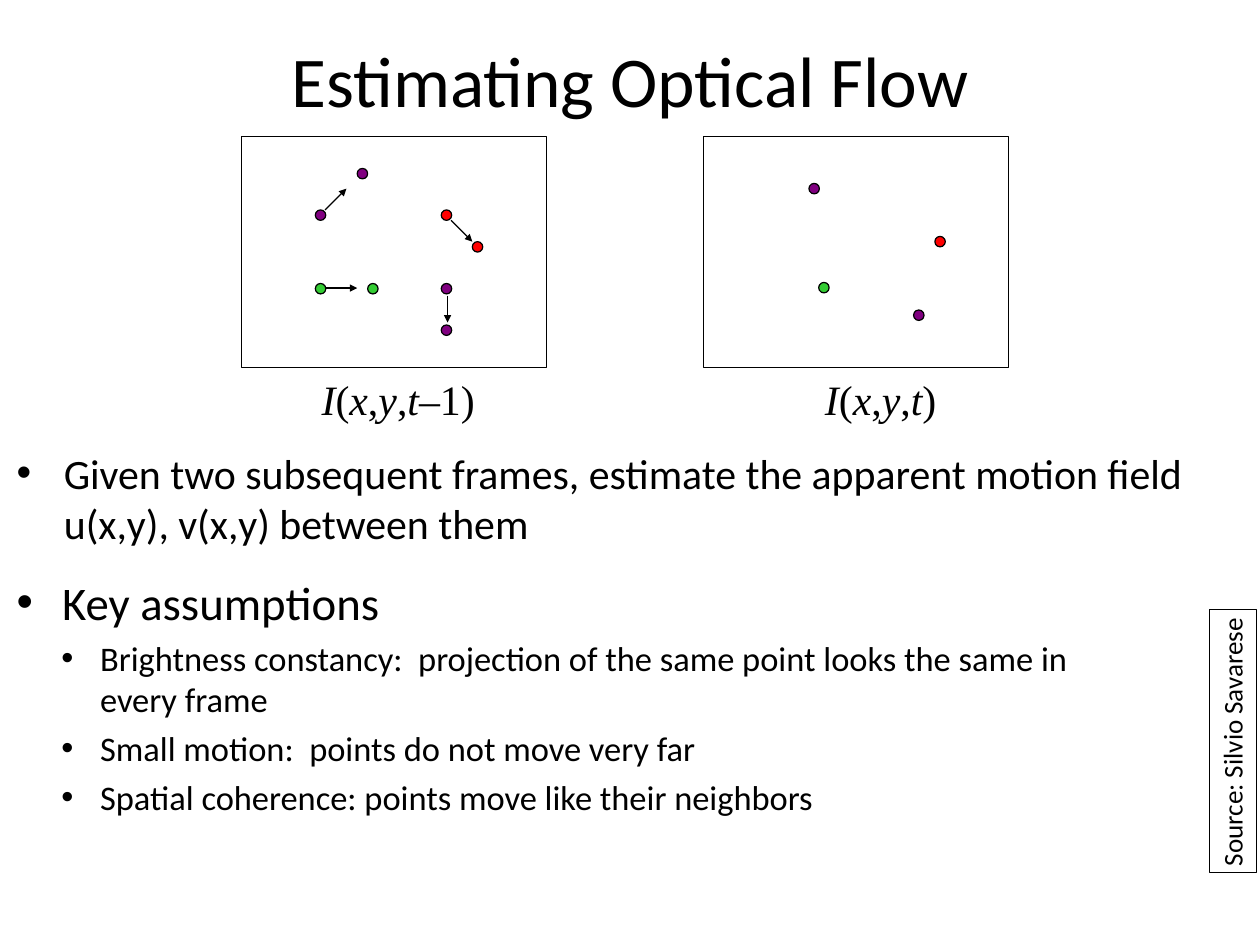
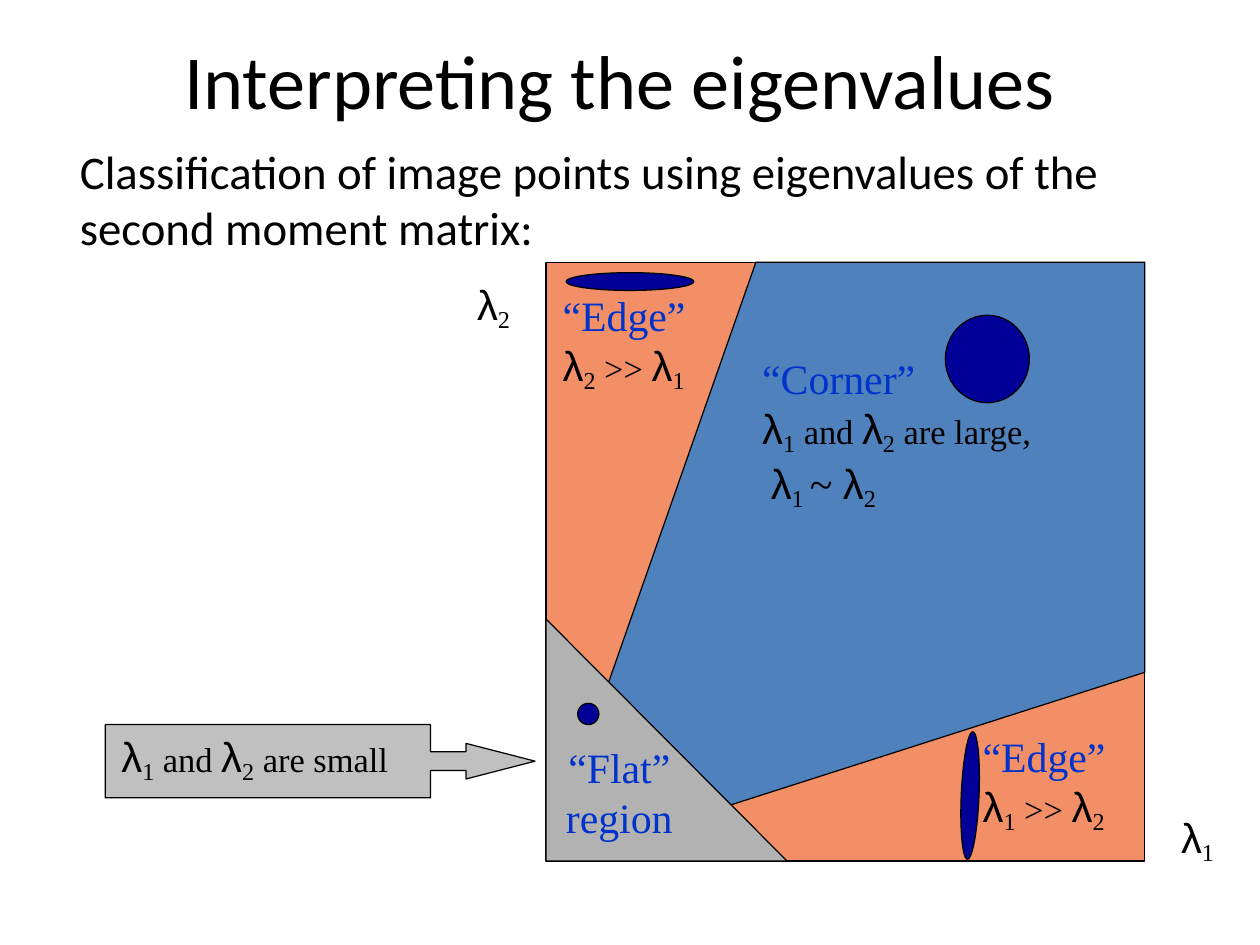
import itertools
from dataclasses import dataclass
from typing import Optional

import lxml.etree
import pptx
import pptx.dml.color
import pptx.enum.shapes
import pptx.enum.text
import pptx.oxml.ns
import pptx.util

Cm = pptx.util.Cm
Pt = pptx.util.Pt
SHAPE = pptx.enum.shapes.MSO_SHAPE
ALIGN = pptx.enum.text.PP_ALIGN

COLORS = {
    "black": "000000",
    "white": "FFFFFF",
    "purple": "800080",
    "red": "FF0000",
    "green": "33CC33",
    "orange": "F38F67",
    "blue": "4F81BD",
    "gray": "B2B2B2",
    "silver": "C0C0C0",
    "navy": "000099",
    "heading": "0033CC",
}
SANS, SERIF, GREEK = "Calibri", "Times New Roman", "Arial"
INSET = 0.18
DOT = 0.3


@dataclass
class Box:
    left: float
    top: float
    width: float
    height: float

    def lengths(self) -> tuple:
        return Cm(self.left), Cm(self.top), Cm(self.width), Cm(self.height)


@dataclass
class Span:
    text: str
    size: int = 34
    font: str = SERIF
    color: str = "black"
    italic: Optional[bool] = None
    lowered: bool = False


@dataclass
class Bullet:
    text: str
    size: int
    margin: float
    hanging: float
    level: int = 0
    before: int = 0


@dataclass
class Motion:
    color: str
    start: tuple
    end: tuple
    arrow: tuple
    later: tuple


@dataclass
class Label:
    box: Box
    lines: list
    align: ALIGN = ALIGN.LEFT
    wrap: bool = True


def rgb(name: str) -> pptx.dml.color.RGBColor:
    return pptx.dml.color.RGBColor.from_string(COLORS[name])


def style_font(font, span: Span) -> None:
    font.size = Pt(span.size)
    font.name = span.font
    font.color.rgb = rgb(span.color)
    font.italic = span.italic


def outline(shape) -> None:
    shape.line.color.rgb = rgb("black")
    shape.line.width = Pt(1)


def paint(shape, color: str) -> None:
    shape.shadow.inherit = False
    shape.fill.solid()
    shape.fill.fore_color.rgb = rgb(color)
    outline(shape)


def prepare_frame(frame, wrap: bool = True) -> None:
    frame.word_wrap = wrap
    frame.auto_size = pptx.enum.text.MSO_AUTO_SIZE.NONE
    frame.margin_left = frame.margin_right = Cm(INSET)
    frame.margin_top = frame.margin_bottom = Cm(INSET)


def place(shape, box: Box) -> None:
    shape.left, shape.top, shape.width, shape.height = box.lengths()
    prepare_frame(shape.text_frame)


def write_spans(para, spans: list) -> None:
    for span in spans:
        run = para.add_run()
        run.text = span.text
        style_font(para.font if len(spans) == 1 else run.font, span)
        if span.lowered:
            run._r.get_or_add_rPr().set("baseline", "-19000")


def add_page(deck, layout: int, title: str, box: Box, size: int):
    page = deck.slides.add_slide(deck.slide_layouts[layout])
    place(page.shapes.title, box)
    frame = page.shapes.title.text_frame
    frame.vertical_anchor = pptx.enum.text.MSO_ANCHOR.MIDDLE
    para = frame.paragraphs[0]
    para.alignment = ALIGN.CENTER
    write_spans(para, [Span(title, size, SANS)])
    return page


def fill_list(body, box: Box, bullets: list) -> None:
    place(body, box)
    frame = body.text_frame
    frame.vertical_anchor = pptx.enum.text.MSO_ANCHOR.TOP
    for index, bullet in enumerate(bullets):
        para = frame.add_paragraph() if index else frame.paragraphs[0]
        para.level = bullet.level
        properties = para._p.get_or_add_pPr()
        properties.set("marL", str(Cm(bullet.margin)))
        properties.set("indent", str(-Cm(bullet.hanging)))
        for tag, key, value in (("a:buFont", "typeface", "Arial"), ("a:buChar", "char", "•")):
            lxml.etree.SubElement(properties, pptx.oxml.ns.qn(tag)).set(key, value)
        para.space_before = Pt(bullet.before)
        write_spans(para, [Span(bullet.text, bullet.size, SANS)])


def add_label(page, label: Label):
    shape = page.shapes.add_textbox(*label.box.lengths())
    frame = shape.text_frame
    prepare_frame(frame, label.wrap)
    for index, spans in enumerate(label.lines):
        para = frame.add_paragraph() if index else frame.paragraphs[0]
        para.alignment = label.align
        write_spans(para, spans)
    return shape


def add_preset(page, kind: SHAPE, box: Box, color: str, rotation: float = 0) -> None:
    shape = page.shapes.add_shape(kind, *box.lengths())
    shape.rotation = rotation
    paint(shape, color)


def add_dot(page, corner: tuple, color: str) -> None:
    add_preset(page, SHAPE.OVAL, Box(*corner, DOT, DOT), color)


def add_arrow(shapes, ends: tuple) -> None:
    line = shapes.add_connector(pptx.enum.shapes.MSO_CONNECTOR.STRAIGHT, *map(Cm, ends))
    outline(line)
    tip = lxml.etree.SubElement(line.line._get_or_add_ln(), pptx.oxml.ns.qn("a:tailEnd"))
    tip.set("type", "triangle")
    lxml.etree.SubElement(line._element.spPr, pptx.oxml.ns.qn("a:effectLst"))


def add_region(page, points: list, color: str) -> None:
    corners = [(Cm(x), Cm(y)) for x, y in points]
    builder = page.shapes.build_freeform(*corners[0])
    builder.add_line_segments(corners[1:], close=True)
    paint(builder.convert_to_shape(), color)


def formula(text: str) -> list:
    return [
        Span("".join(letters), italic=is_variable)
        for is_variable, letters in itertools.groupby(text, str.isalpha)
    ]


def eigenvalue(index: str) -> list:
    return [Span("λ", font=GREEK), Span(index, lowered=True)]


def words(text: str) -> list:
    return [Span(text, 28)]


def heading(text: str) -> list:
    return [Span(text, color="heading")]


def build_flow_page(deck) -> None:
    page = add_page(deck, 3, "Estimating Optical Flow", Box(1.8, 0, 32.51, 4.52), 58)
    goal, assumptions = list(page.placeholders)[1:3]
    fill_list(goal, Box(0.3, 12.65, 35.23, 3.6), [
        Bullet("Given two subsequent frames, estimate the apparent motion field "
               "u(x,y), v(x,y) between them", 34, 1.35, 1.35),
    ])
    details = (
        "Brightness constancy:  projection of the same point looks the same in every frame",
        "Small motion:  points do not move very far",
        "Spatial coherence: points move like their neighbors",
    )
    fill_list(assumptions, Box(0.3, 16.26, 32.51, 7.65), [
        Bullet("Key assumptions", 38, 1.3, 1.3),
        *(Bullet(text, 28, 2.39, 1.11, 1, 6) for text in details),
    ])

    for left in (6.93, 20.17):
        add_preset(page, SHAPE.RECTANGLE, Box(left, 3.91, 8.74, 6.63), "white")
    motions = [
        Motion("purple", (9.04, 6.02), (10.24, 4.83), (9.32, 6.02, 9.93, 5.41), (23.19, 5.26)),
        Motion("red", (12.65, 6.02), (13.54, 6.93), (12.93, 6.32, 13.54, 6.93), (26.8, 6.78)),
        Motion("green", (9.04, 8.13), (10.54, 8.13), (9.32, 8.26, 10.24, 8.26), (23.47, 8.1)),
        Motion("purple", (12.65, 8.13), (12.65, 9.32), (12.83, 8.48, 12.83, 9.25), (26.19, 8.89)),
    ]
    arrows = page.shapes.add_group_shape()
    for motion in motions:
        add_arrow(arrows.shapes, motion.arrow)
        for corner in (motion.start, motion.end, motion.later):
            add_dot(page, corner, motion.color)

    add_label(page, Label(Box(9.04, 10.54, 4.8, 1.65), [formula("I(x,y,t–1)")], wrap=False))
    add_label(page, Label(Box(23.47, 10.54, 3.58, 1.65), [formula("I(x,y,t)")], wrap=False))
    credit = add_label(page, Label(
        Box(31.57, 20.57, 7.54, 1.35), [[Span("Source: Silvio Savarese", 22, SANS)]], wrap=False))
    credit.rotation = 270
    outline(credit)


def build_eigenvalue_page(deck) -> None:
    page = add_page(deck, 5, "Interpreting the eigenvalues", Box(3.28, 0, 28.98, 4.52), 62)
    left, top, side = 15.65, 7.52, 17.17
    right, bottom = left + side, top + side
    add_preset(page, SHAPE.RECTANGLE, Box(left, top, side, side), "orange")
    add_region(page, [(17.45, 19.56), (21.67, top), (right, top), (right, 19.28),
                      (20.93, 23.09)], "blue")
    add_region(page, [(left, bottom), (22.56, bottom), (left, 17.75)], "gray")

    middle = 21.83
    upper_edge = [(3.02, 1.05), (12.34, 1.05), (12.34, 0.27), (13.36, 0.27), (13.36, 0.51)]
    add_region(page, [
        *((x, middle - rise) for x, rise in upper_edge),
        (15.34, middle),
        *((x, middle + rise) for x, rise in reversed(upper_edge)),
    ], "silver")

    first, second = eigenvalue("1"), eigenvalue("2")
    both = first + words(" and ") + second
    labels = [
        Label(Box(2.11, 3.91, 31.6, 3.61), [[Span(
            "Classification of image points using eigenvalues of the second moment matrix:",
            38, SANS)]]),
        Label(Box(32.82, 23.11, 3.02, 1.98), [first], ALIGN.CENTER),
        Label(Box(12.04, 7.82, 4.22, 1.98), [second], ALIGN.CENTER),
        Label(Box(21.67, 9.93, 10.54, 4.98), [
            heading("“Corner”"),
            both + words(" are large,"),
            words(" ") + eigenvalue("1 ") + [Span("~ ")] + second,
        ]),
        Label(Box(3.3, 20.78, 9.32, 1.98), [both + words(" are small")]),
        Label(Box(27.99, 20.78, 5.11, 3.3), [heading("“Edge”"), first + words(" >> ") + second]),
        Label(Box(15.95, 8.13, 5.11, 3.3), [heading("“Edge”"), second + words(" >> ") + first]),
        Label(Box(15.34, 21.08, 4.83, 3), [heading("“Flat” region")], ALIGN.CENTER),
    ]
    for label in labels:
        add_label(page, label)

    ellipses = [
        (Box(27.1, 9.04, 2.41, 2.51), 0),
        (Box(16.23, 7.82, 3.66, 0.51), 0),
        (Box(16.56, 20.17, 0.61, 0.61), 0),
        (Box(25.98, 22.56, 3.66, 0.51), 92.4),
    ]
    for box, rotation in ellipses:
        add_preset(page, SHAPE.OVAL, box, "navy", rotation)


def main() -> None:
    deck = pptx.Presentation()
    deck.slide_width, deck.slide_height = Cm(36.12), Cm(27.1)
    build_flow_page(deck)
    build_eigenvalue_page(deck)
    deck.save("out.pptx")


if __name__ == "__main__":
    main()
